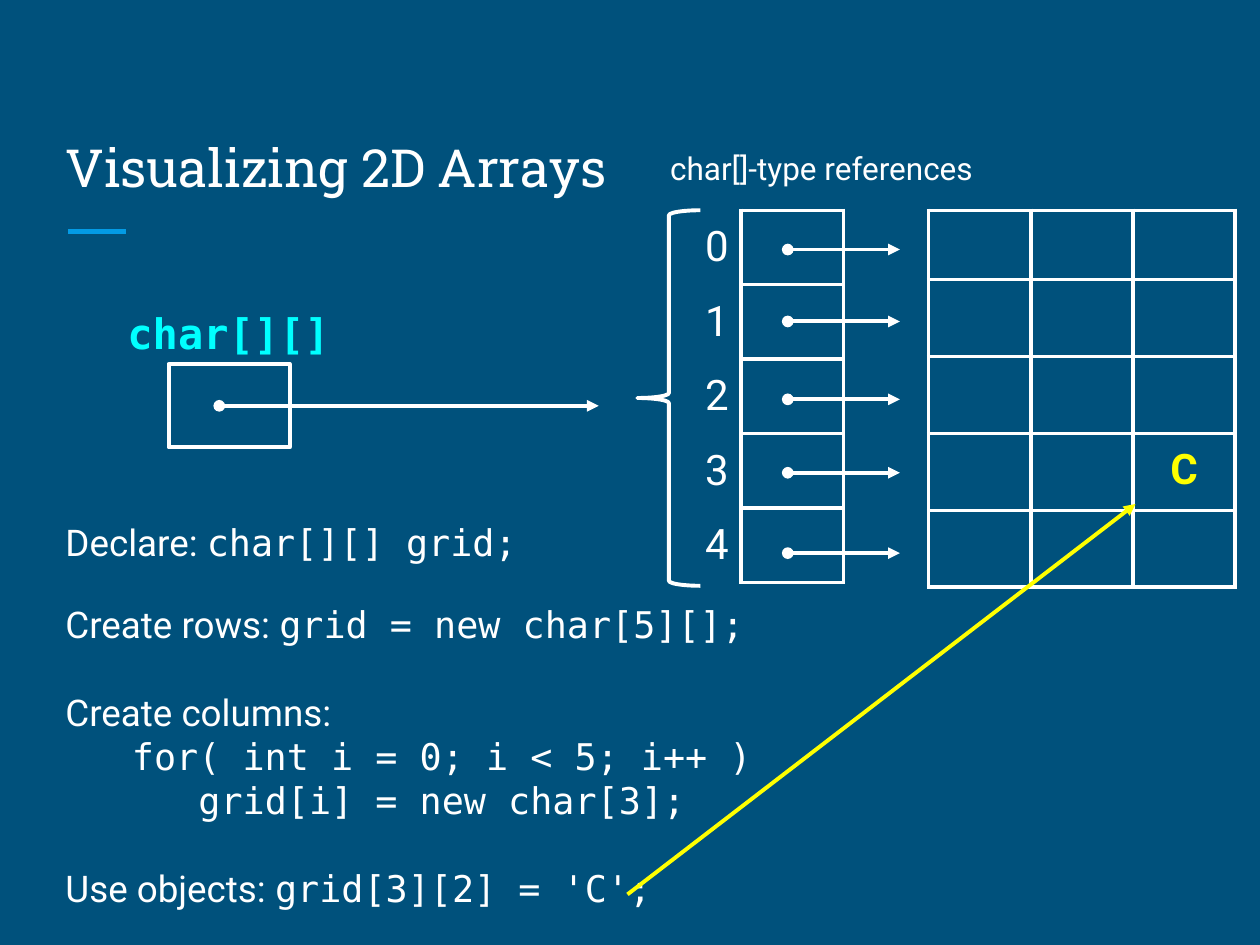
from collections import namedtuple

from lxml import etree
from pptx import Presentation
from pptx.dml.color import RGBColor
from pptx.enum.shapes import MSO_CONNECTOR as Link, MSO_SHAPE as Preset
from pptx.enum.text import MSO_ANCHOR as Anchor, MSO_AUTO_SIZE as AutoSize, PP_ALIGN as Align
from pptx.oxml.ns import qn
from pptx.util import Cm, Pt

NAVY = RGBColor(0x00, 0x51, 0x7C)
BLUE = RGBColor(0x03, 0x9B, 0xE5)
WHITE = RGBColor(0xFF, 0xFF, 0xFF)
CYAN = RGBColor(0x00, 0xFF, 0xFF)
YELLOW = RGBColor(0xFF, 0xFF, 0x00)
SANS, SLAB, MONO = "Roboto", "Roboto Slab", "DejaVu Sans Mono"
STROKE = Pt(2.25)
INSET = Cm(0.25)
PLAIN_TABLE = "{2D5ABB26-0587-4C30-8999-92F81FD0307C}"

Box = namedtuple("Box", "left top width height")  # centimetres


def place(shape, box):
    shape.left, shape.top, shape.width, shape.height = map(Cm, box)


def style(span, font, size, color=WHITE, bold=False):
    span.font.name, span.font.size, span.font.bold = font, Pt(size), bold
    span.font.color.rgb = color


def prepare(frame, anchor=Anchor.TOP):
    frame.word_wrap, frame.auto_size = True, AutoSize.NONE
    frame.vertical_anchor = anchor
    frame.margin_left = frame.margin_right = INSET
    frame.margin_top = frame.margin_bottom = INSET


def add_label(page, box, text, font, size, color=WHITE, bold=False,
              align=Align.LEFT, anchor=Anchor.TOP):
    label = page.shapes.add_textbox(*map(Cm, box))
    prepare(label.text_frame, anchor)
    para = label.text_frame.paragraphs[0]
    para.text, para.alignment = text, align
    style(para.runs[0], font, size, color, bold)


def add_line(page, start, end, color=WHITE, width=STROKE, head=None, tail=None):
    line = page.shapes.add_connector(Link.STRAIGHT, *map(Cm, start + end))
    line.line.color.rgb, line.line.width = color, width
    stroke = line.line._get_or_add_ln()
    for tag, kind in (("a:headEnd", head), ("a:tailEnd", tail)):
        if kind:
            etree.SubElement(stroke, qn(tag), type=kind, w="med", len="med")
    etree.SubElement(line._element.spPr, qn("a:effectLst"))


def add_pointer(page, start, end):
    add_line(page, start, end, head="oval", tail="triangle")


def add_outline(page, preset, box):
    shape = page.shapes.add_shape(preset, *map(Cm, box))
    shape.shadow.inherit = False
    shape.fill.background()
    shape.line.color.rgb, shape.line.width = WHITE, STROKE
    return shape


def add_grid(page, box, columns, heights):
    frame = page.shapes.add_table(len(heights), columns, *map(Cm, box))
    table = frame.table
    table.first_row = table.horz_banding = False
    table._tbl.tblPr.find(qn("a:tableStyleId")).text = PLAIN_TABLE
    for column in table.columns:
        column.width = Cm(box.width / columns)
    for row, height in zip(table.rows, heights):
        row.height = Cm(height)
    for cell in table.iter_cells():
        cell.fill.background()
    return table


def border(cell, sides="LRTB"):
    props = cell._tc.get_or_add_tcPr()
    for place_in_order, side in enumerate(sides):
        edge = etree.Element(qn("a:ln" + side), w=str(STROKE))
        fill = etree.SubElement(edge, qn("a:solidFill"))
        etree.SubElement(fill, qn("a:srgbClr"), val=str(WHITE))
        props.insert(place_in_order, edge)


def fill_cell(cell, text, align, color=WHITE, bold=False):
    cell.margin_left = cell.margin_right = INSET
    cell.margin_top = cell.margin_bottom = INSET
    para = cell.text_frame.paragraphs[0]
    para.text, para.alignment = text, align
    style(para.runs[0], SANS, 24, color, bold)


def build_title(page, box):
    title = page.shapes.title
    place(title, box)
    prepare(title.text_frame, Anchor.BOTTOM)
    para = title.text_frame.paragraphs[0]
    para.text, para.alignment = "Visualizing 2D Arrays", Align.LEFT
    style(para.runs[0], SLAB, 30)
    # Accent rule under the title
    left, y = box.left + 0.3, box.top + 2.97
    add_line(page, (left, y), (left + 1.17, y), BLUE, Pt(3))


def build_steps(page, box):
    body = page.placeholders[1]
    place(body, box)
    frame = body.text_frame
    prepare(frame)
    # Lead-in, code, indent level, space before in points
    steps = [
        ("Declare: ", "char[][] grid;", 0, 0),
        ("Create rows: ", "grid = new char[5][];", 0, 21.7),
        ("Create columns:", "", 0, 25.1),
        ("", "for( int i = 0; i < 5; i++ )", 1, 0),
        ("", "grid[i] = new char[3];", 2, 0),
        ("Use objects: ", "grid[3][2] = 'C';", 0, 25.1),
    ]
    for number, (lead, code, level, gap) in enumerate(steps):
        para = frame.add_paragraph() if number else frame.paragraphs[0]
        para.alignment, para.line_spacing = Align.LEFT, Pt(25.1)
        para.space_before, para.space_after = Pt(gap), Pt(0)
        props = para._p.get_or_add_pPr()
        props.set("marL", str(Cm(1.34 * level)))
        props.set("indent", "0")
        etree.SubElement(props, qn("a:buNone"))
        for text, font in ((lead, SANS), (code, MONO)):
            if text:
                span = para.add_run()
                span.text = text
                style(span, font, 21)


def build_variable(page, box):
    left, top = box.left, box.top
    add_label(page, Box(left, top, box.width, 1.68), "char[][]", MONO, 24,
              CYAN, True, Align.CENTER)
    add_outline(page, Preset.RECTANGLE, Box(left + 1.09, top + 1.4, 2.44, 1.68))
    add_pointer(page, (left + 2.11, top + 2.24), (left + 9.76, top + 2.24))


def build_references(page, box):
    left, top = box.left, box.top
    add_label(page, Box(left + 0.38, top - 1.78, 7.04, 1.85),
              "char[]-type references", SANS, 18, anchor=Anchor.MIDDLE)
    table = add_grid(page, box, 2, [box.height / 5] * 5)
    for index in range(5):
        fill_cell(table.cell(index, 0), str(index), Align.RIGHT)
        border(table.cell(index, 0), "R")
        border(table.cell(index, 1))
    brace = add_outline(page, Preset.LEFT_BRACE, Box(left - 0.03, top, 1.27, 7.57))
    brace.adjustments[0], brace.adjustments[1] = 0.08, 0.5
    # One pointer from each reference to its row
    for drop in (0.79, 2.24, 3.81, 5.29, 6.91):
        add_pointer(page, (left + 3, top + drop), (left + 5.26, top + drop))


def build_array(page, box):
    first = 1.4
    heights = [first] + [(box.height - first) / 4] * 4
    table = add_grid(page, box, 3, heights)
    for cell in table.iter_cells():
        border(cell)
    fill_cell(table.cell(3, 2), "C", Align.CENTER, YELLOW, True)
    # From the assignment to the element it sets
    add_line(page, (box.left - 6.07, box.top + 13.79),
             (box.left + 4.17, box.top + 5.92), YELLOW, tail="triangle")


def main():
    deck = Presentation()
    deck.slide_width, deck.slide_height = Cm(25.4), Cm(19.05)
    page = deck.slides.add_slide(deck.slide_layouts[1])
    page.background.fill.solid()
    page.background.fill.fore_color.rgb = NAVY
    build_title(page, Box(1.07, 1.7, 23.24, 2.54))
    build_steps(page, Box(1.07, 10.24, 23.24, 8.48))
    build_variable(page, Box(2.31, 5.94, 4.6, 3.08))
    build_references(page, Box(12.88, 4.24, 4.12, 7.5))
    build_array(page, Box(18.72, 4.24, 6.18, 7.6))
    deck.save("out.pptx")


if __name__ == "__main__":
    main()
